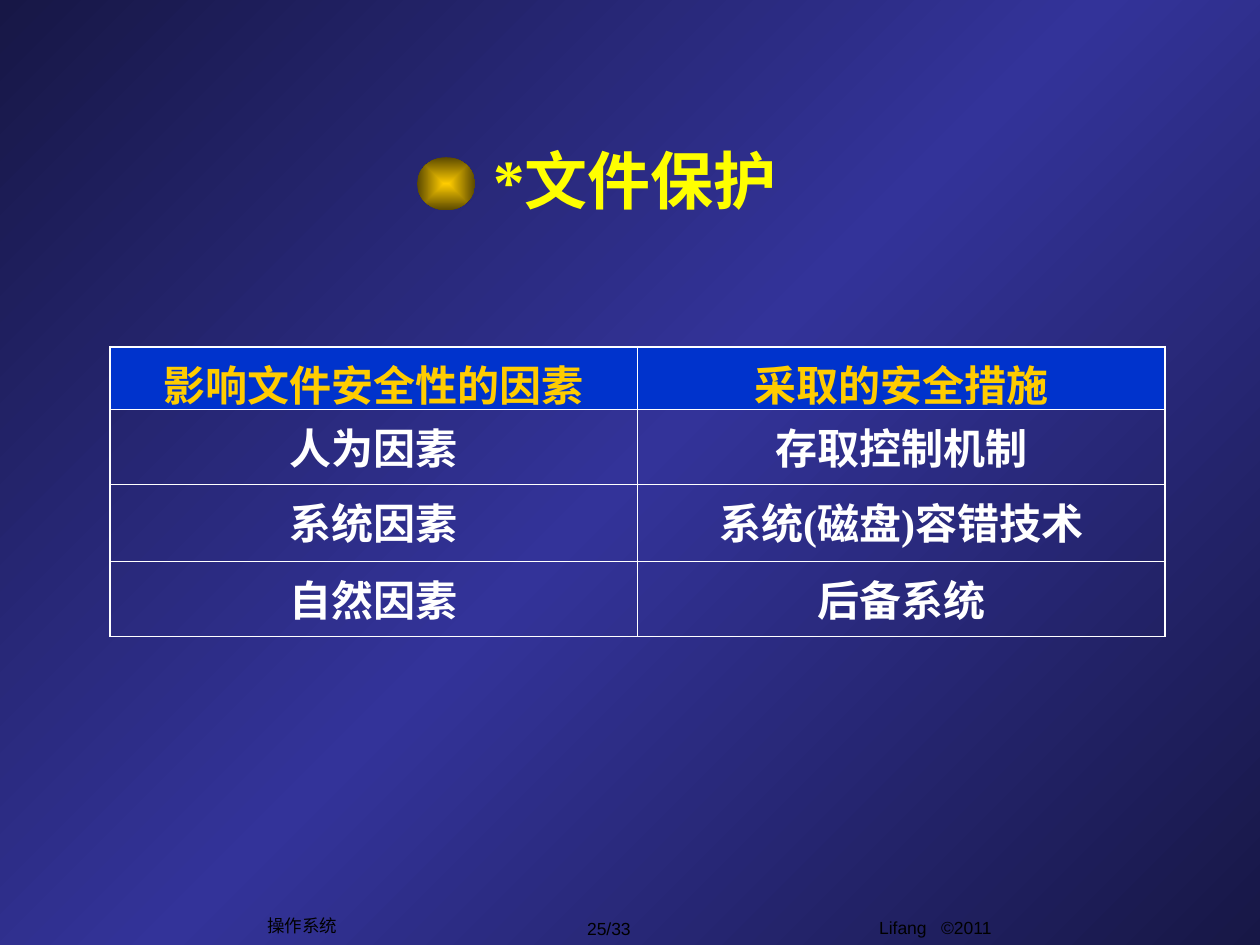
from typing import NamedTuple

import lxml.etree
import pptx
import pptx.dml.color
import pptx.enum.shapes
import pptx.enum.text
import pptx.oxml
import pptx.oxml.ns
import pptx.util
from pptx.util import Cm

ALIGN = pptx.enum.text.PP_ALIGN
ANCHOR = pptx.enum.text.MSO_ANCHOR
SERIF, SANS = "Times New Roman", "Arial"
WHITE = "FFFFFF"
OUTER, INNER = 1.08, 0.45


class Label(NamedTuple):
    text: str
    left: float
    top: float
    width: float
    height: float
    anchor: ANCHOR = ANCHOR.MIDDLE
    wrap: bool = False
    size: int = 10
    font: str = SANS
    color: str = "000000"
    bold: bool = False


LABELS = [
    Label("Lifang   ©2011", 14.83, 18.36, 8.05, 0.89, ANCHOR.TOP, True),
    Label("25/33", 10.98, 18.38, 2.59, 0.69),
    Label("操作系统", 5.14, 18.31, 1.91, 0.69),
    Label("*文件保护", 2.43, 2.72, 20.75, 1.78, ANCHOR.BOTTOM, True,
          36, SERIF, "FFFF00", True),
]

ROWS = [
    ("影响文件安全性的因素", "采取的安全措施"),
    ("人为因素", "存取控制机制"),
    ("系统因素", "系统(磁盘)容错技术"),
    ("自然因素", "后备系统"),
]
ROW_HEIGHTS = [1.27, 1.51, 1.55, 1.51]
COL_WIDTH = 10.63


def rgb(color: str) -> pptx.dml.color.RGBColor:
    return pptx.dml.color.RGBColor.from_string(color)


def format_text(tf, size: int, font: str, color: str, bold: bool) -> None:
    p = tf.paragraphs[0]
    p.alignment = ALIGN.CENTER
    for r in p.runs:
        r.font.size = pptx.util.Pt(size)
        r.font.name = font
        r.font.bold = bold
        r.font.color.rgb = rgb(color)


def set_gradient(fill, grad_parent, stops: list, direction: str) -> None:
    """Give a fill the stops (percent, colour) and a direction element."""
    fill.gradient()
    grad = next(grad_parent.iter(pptx.oxml.ns.qn("a:gradFill")))
    for child in list(grad):
        grad.remove(child)
    ns = pptx.oxml.ns.nsdecls("a")
    gs = "".join(f'<a:gs pos="{pos * 1000}"><a:srgbClr val="{color}"/></a:gs>'
                 for pos, color in stops)
    grad.append(pptx.oxml.parse_xml(f"<a:gsLst {ns}>{gs}</a:gsLst>"))
    grad.append(pptx.oxml.parse_xml(direction.format(ns=ns)))


def add_label(s, label: Label) -> None:
    sp = s.shapes.add_textbox(Cm(label.left), Cm(label.top),
                              Cm(label.width), Cm(label.height))
    tf = sp.text_frame
    tf.word_wrap = label.wrap
    tf.vertical_anchor = label.anchor
    tf.text = label.text
    format_text(tf, label.size, label.font, label.color, label.bold)


def set_borders(cell, widths: dict) -> None:
    """Draw white cell borders; widths maps L, R, T, B to points."""
    tc_pr = cell._tc.get_or_add_tcPr()
    for i, (side, width) in enumerate(widths.items()):
        tc_pr.insert(i, pptx.oxml.parse_xml(
            f'<a:ln{side} {pptx.oxml.ns.nsdecls("a")} w="{pptx.util.Pt(width)}">'
            f'<a:solidFill><a:srgbClr val="{WHITE}"/></a:solidFill></a:ln{side}>'))


def add_safety_table(s) -> None:
    n_rows, n_cols = len(ROWS), len(ROWS[0])
    table = s.shapes.add_table(n_rows, n_cols, Cm(2.22), Cm(6.99),
                               Cm(n_cols * COL_WIDTH), Cm(sum(ROW_HEIGHTS))).table
    table.horz_banding = False
    for col in table.columns:
        col.width = Cm(COL_WIDTH)
    for i, row in enumerate(ROWS):
        table.rows[i].height = Cm(ROW_HEIGHTS[i])
        for j, text in enumerate(row):
            cell = table.cell(i, j)
            cell.text = text
            format_text(cell.text_frame, 24, SERIF,
                        "FFCC00" if i == 0 else WHITE, True)
            if i == 0:
                cell.fill.solid()
                cell.fill.fore_color.rgb = rgb("0033CC")
            else:
                cell.fill.background()
            set_borders(cell, {
                "L": OUTER if j == 0 else INNER,
                "R": OUTER if j == n_cols - 1 else INNER,
                "T": OUTER if i == 0 else INNER,
                "B": OUTER if i == n_rows - 1 else INNER,
            })


def add_title_bullet(s) -> None:
    sp = s.shapes.add_shape(pptx.enum.shapes.MSO_SHAPE.OVAL,
                            Cm(8.41), Cm(3.17), Cm(1.17), Cm(1.07))
    sp.shadow.inherit = False
    sp.line.fill.background()
    set_gradient(sp.fill, sp._element, [(0, "FFCC00"), (100, "5B4900")],
                 '<a:path {ns} path="rect"><a:fillToRect l="50000" t="50000" '
                 'r="50000" b="50000"/></a:path>')


def main() -> None:
    prs = pptx.Presentation()
    prs.slide_width, prs.slide_height = Cm(25.4), Cm(19.05)
    s = prs.slides.add_slide(prs.slide_layouts[6])
    set_gradient(s.background.fill, s._element,
                 [(0, "171746"), (50, "333399"), (100, "171746")],
                 '<a:lin {ns} ang="13500000" scaled="1"/>')
    for label in LABELS:
        add_label(s, label)
    add_safety_table(s)
    add_title_bullet(s)
    prs.save("out.pptx")


if __name__ == "__main__":
    main()
